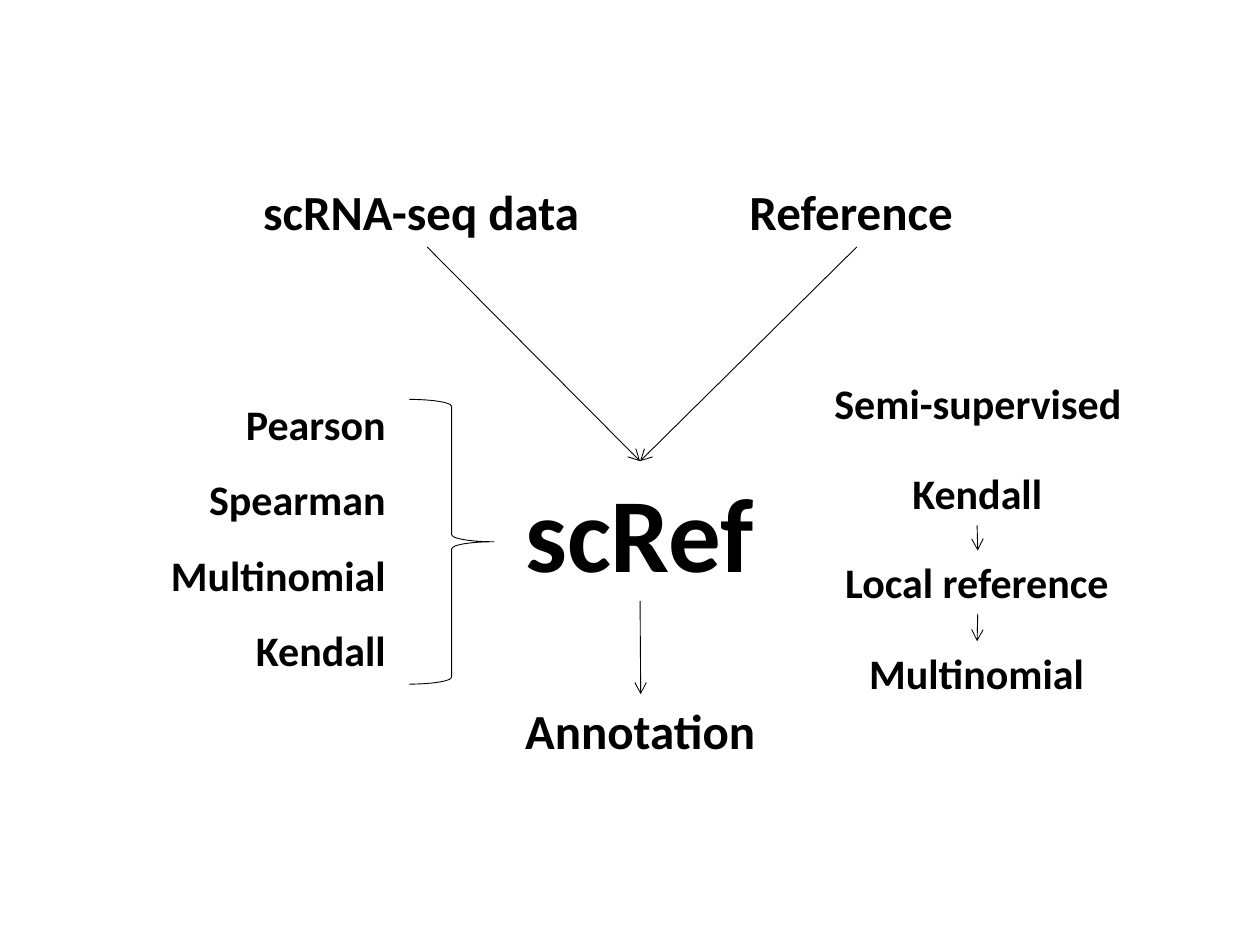
import pptx
import pptx.util
import pptx.dml.color
import pptx.enum.shapes
import pptx.enum.text
import pptx.oxml
import pptx.oxml.ns
import lxml.etree

BLACK = pptx.dml.color.RGBColor(0, 0, 0)
LEFT = pptx.enum.text.PP_ALIGN.LEFT
RIGHT = pptx.enum.text.PP_ALIGN.RIGHT
TOP, BOTTOM = 0, 2
COLUMNS, ROWS = 100, 75


class Diagram:
    """Draws labels, arrows and braces on one slide, measured in grid columns and rows."""

    font = "Calibri"
    color = BLACK
    line_width = pptx.util.Pt(0.5)

    def __init__(self, prs):
        self.s = prs.slides.add_slide(prs.slide_layouts[6])
        self.column = prs.slide_width / COLUMNS
        self.row = prs.slide_height / ROWS

    def box(self, x, y, w, h):
        return (round(x * self.column), round(y * self.row),
                round(w * self.column), round(h * self.row))

    def label(self, lines, x, y, w, h, size, align=LEFT, spacing=1.0):
        sp = self.s.shapes.add_textbox(*self.box(x, y, w, h))
        tf = sp.text_frame
        tf.word_wrap = False
        tf.auto_size = pptx.enum.text.MSO_AUTO_SIZE.SHAPE_TO_FIT_TEXT
        tf.text = "\n".join(lines)
        for p in tf.paragraphs:
            p.alignment = align
            p.line_spacing = spacing
            p.font.name = self.font
            p.font.size = pptx.util.Pt(size)
            p.font.bold = True
            p.font.color.rgb = self.color
        return sp

    def stroke(self, sp):
        sp.line.color.rgb = self.color
        sp.line.width = self.line_width

    def arrow(self, start, end):
        sp = self.s.shapes.add_connector(
            pptx.enum.shapes.MSO_CONNECTOR.STRAIGHT, 0, 0, 0, 0)
        sp.begin_connect(start, BOTTOM)
        sp.end_connect(end, TOP)
        self.stroke(sp)
        qn = pptx.oxml.ns.qn
        lxml.etree.SubElement(sp.line._get_or_add_ln(), qn("a:tailEnd"), type="arrow")
        lxml.etree.SubElement(sp._element.spPr, qn("a:effectLst"))

    def brace(self, x, y, w, h):
        sp = self.s.shapes.add_shape(
            pptx.enum.shapes.MSO_SHAPE.RIGHT_BRACE, *self.box(x, y, w, h))
        sp.shadow.inherit = False
        sp.fill.background()
        self.stroke(sp)


def main():
    prs = pptx.Presentation()
    prs.slide_width = pptx.util.Inches(10)
    prs.slide_height = pptx.util.Inches(7.5)
    d = Diagram(prs)

    d.label(["Pearson", "Spearman", "Multinomial", "Kendall"],
            12.5, 29.1, 19.1, 25.2, 24, RIGHT, 1.5)
    d.brace(32.5, 31.7, 6.7, 22.6)

    reference = d.label(["Reference"], 58.5, 13.9, 19, 5.7, 28)
    data = d.label(["scRNA-seq data"], 19.9, 13.9, 28, 5.7, 28)
    method = d.label(["scRef"], 40.7, 36.6, 20.2, 11.1, 60)
    annotation = d.label(["Annotation"], 40.7, 55.1, 20.3, 5.7, 28)

    d.label(["Semi-supervised"], 65.2, 27.5, 24.8, 7.1, 24, RIGHT, 1.5)
    kendall = d.label(["Kendall"], 71.4, 34.6, 12.3, 7.1, 24, RIGHT, 1.5)
    local = d.label(["Local reference"], 66.1, 43.7, 23, 5, 24)
    multinomial = d.label(["Multinomial"], 68, 50.9, 19.1, 5, 24)

    for start, end in [(data, method), (reference, method), (method, annotation),
                       (kendall, local), (local, multinomial)]:
        d.arrow(start, end)

    prs.save("out.pptx")


if __name__ == "__main__":
    main()
